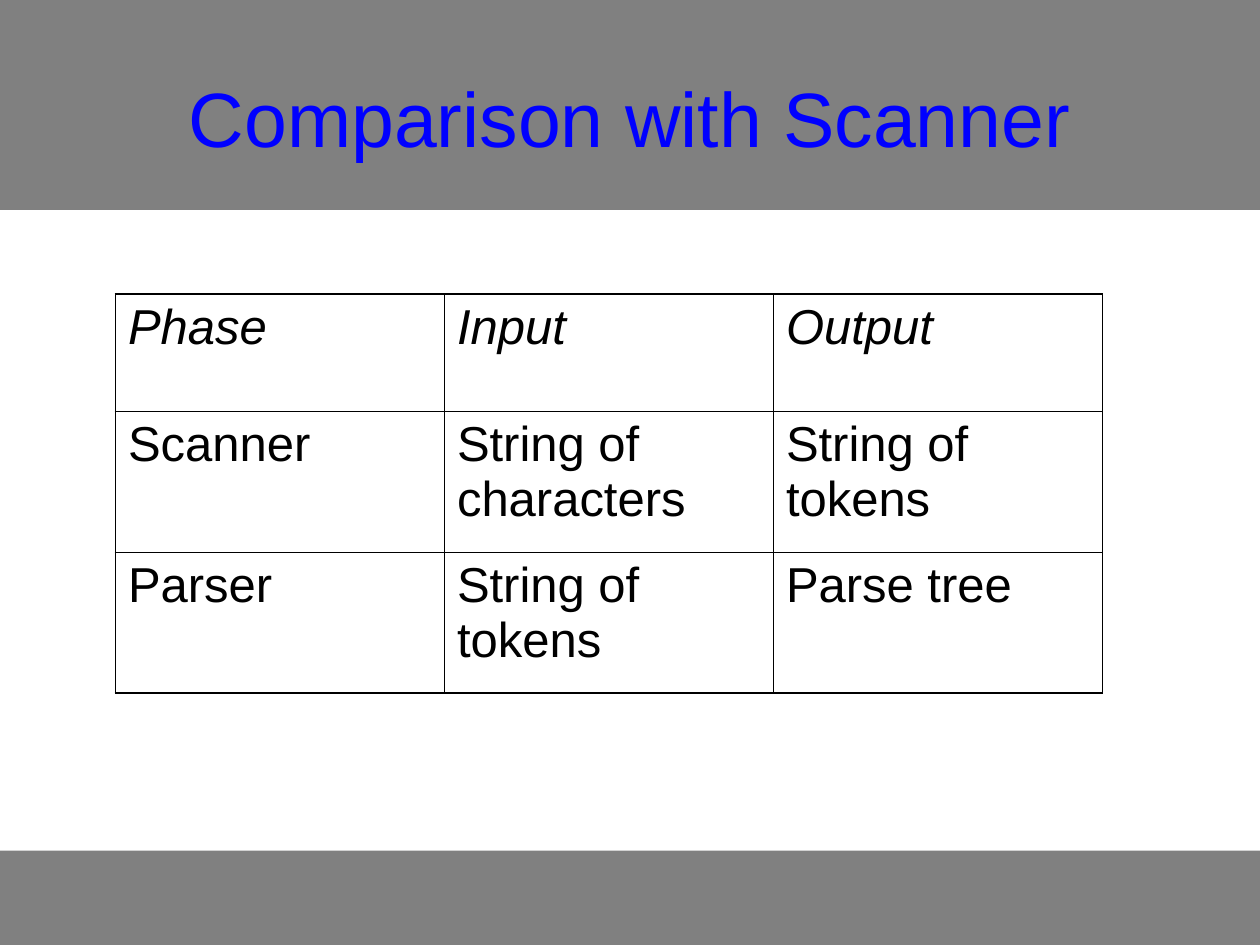
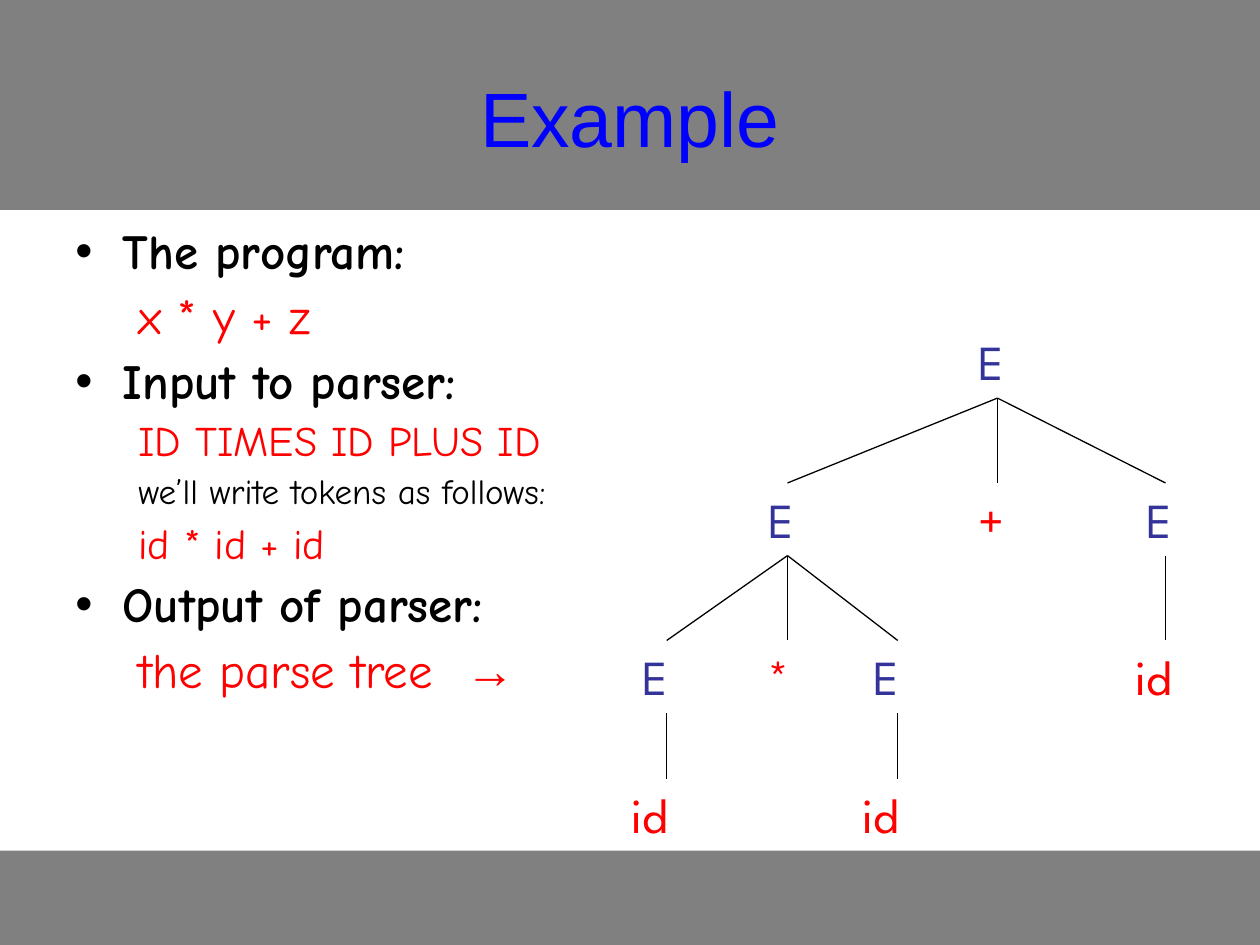
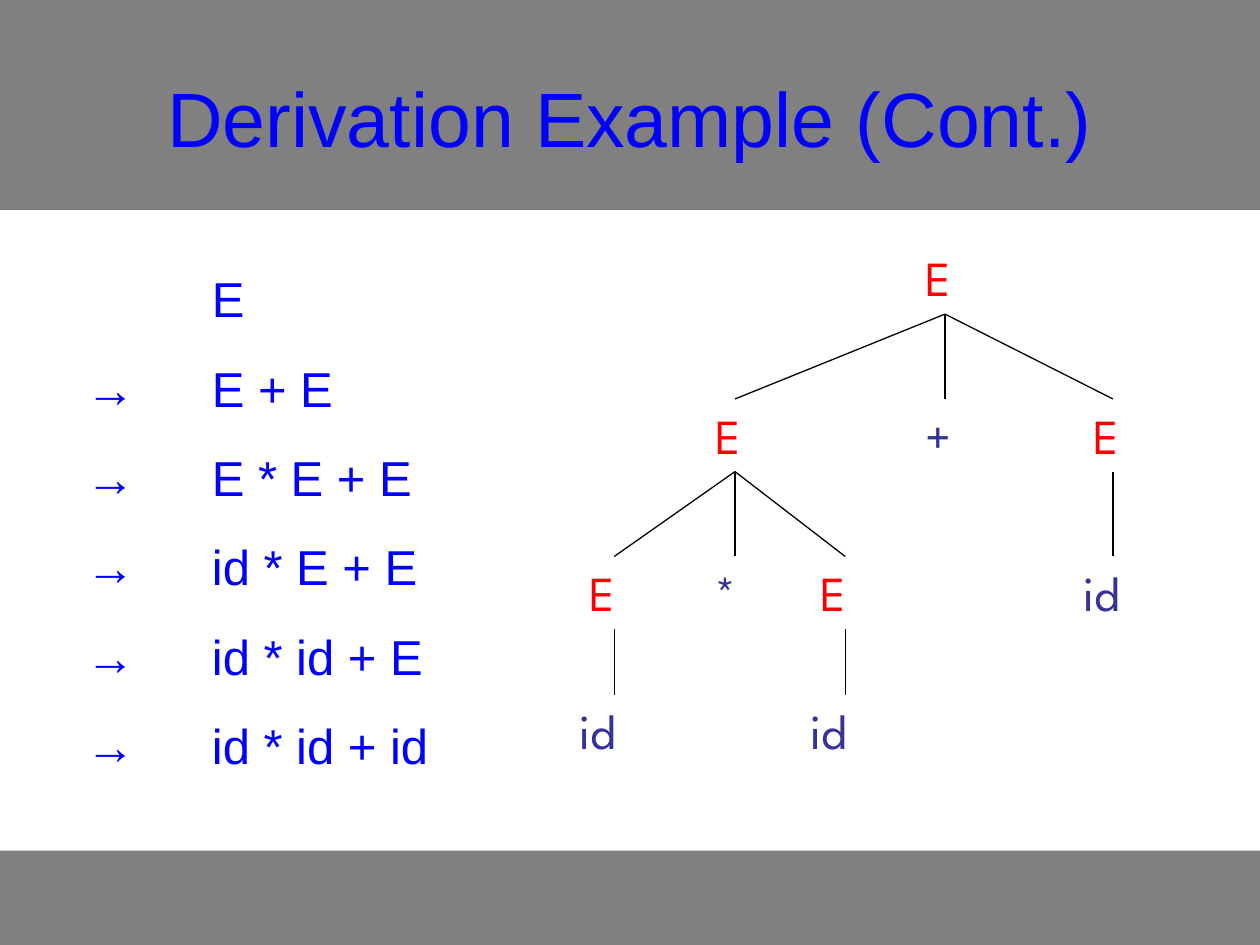
from lxml import etree
from pptx import Presentation
from pptx.dml.color import RGBColor
from pptx.enum.shapes import MSO_CONNECTOR, MSO_SHAPE
from pptx.enum.text import MSO_ANCHOR, MSO_AUTO_SIZE, PP_ALIGN
from pptx.oxml.ns import qn
from pptx.util import Pt

RECT = MSO_SHAPE.RECTANGLE
LINE = MSO_CONNECTOR.STRAIGHT
MIDDLE = MSO_ANCHOR.MIDDLE
GROW = MSO_AUTO_SIZE.SHAPE_TO_FIT_TEXT
LEFT, CENTER = PP_ALIGN.LEFT, PP_ALIGN.CENTER

BLACK, GRAY, BLUE = "000000", "808080", "0000FF"
RED, NAVY = "FF0000", "333399"
SANS, HAND, ROUND = "Arial", "Comic Neue", "League Spartan"

TOPS = [186, 276, 366, 445]
LABEL = 41.5

TREE = ("E", 570, 36, [
    ("E", 450, 36, [
        ("E", 381, 42, [("id", 381, 54, [])]),
        ("*", 450, 36, []),
        ("E", 513, 42, [("id", 513, 54, [])]),
    ]),
    ("+", 570, 36, []),
    ("E", 666, 36, [("id", 666, 48, [])]),
])

GRID = [
    ["Phase", "Input", "Output"],
    ["Scanner", "String of characters", "String of tokens"],
    ["Parser", "String of tokens", "Parse tree"],
]

POINTS = [
    ("The program:", [("x * y + z", 28, RED)]),
    ("Input to parser:", [
        ("ID TIMES ID PLUS ID", 24, RED),
        ("we’ll write tokens as follows:", 20, BLACK),
        ("id * id + id", 24, RED),
    ]),
    ("Output of parser:", [("the parse tree", 28, RED)]),
]

STEPS = ["E + E", "E * E + E", "id * E + E", "id * id + E", "id * id + id"]


def color(code):
    return RGBColor.from_string(code)


def add_run(para, text, size, code, font=SANS, bold=False, italic=False):
    run = para.add_run()
    run.text = text
    run.font.size = Pt(size)
    run.font.name = font
    run.font.bold = bold
    run.font.italic = italic
    run.font.color.rgb = color(code)
    return run


def add_para(frame, before=0, align=LEFT):
    first = frame.paragraphs[0]
    para = frame.add_paragraph() if first.runs else first
    para.space_before = Pt(before)
    para.alignment = align
    return para


def add_box(slide, left, top, width, height):
    box = slide.shapes.add_textbox(Pt(left), Pt(top), Pt(width), Pt(height))
    box.text_frame.word_wrap = True
    return box.text_frame


def add_band(slide, top, height):
    band = slide.shapes.add_shape(RECT, 0, Pt(top), Pt(720), Pt(height))
    band.shadow.inherit = False
    band.fill.solid()
    band.fill.fore_color.rgb = color(GRAY)
    band.line.fill.background()


def add_slide(deck, title):
    slide = deck.slides.add_slide(deck.slide_layouts[6])
    add_band(slide, 486, 54)
    add_band(slide, 0, 120)
    frame = add_box(slide, 36, 21.6, 648, 90)
    frame.vertical_anchor = MIDDLE
    add_run(add_para(frame, align=CENTER), title, 44, BLUE)
    return slide


def add_edge(slide, start, end):
    edge = slide.shapes.add_connector(LINE, *map(Pt, start + end))
    edge.line.width = Pt(0.75)
    edge.line.color.rgb = color(BLACK)
    etree.SubElement(edge._element.spPr, qn("a:effectLst"))


def add_tree(slide, node, stem, leaf, dx=0, dy=0, level=0):
    text, mid, width, kids = node
    mid += dx
    top = TOPS[level] + dy
    frame = add_box(slide, mid - width / 2, top, width, LABEL)
    frame.auto_size = GROW
    add_run(add_para(frame, 17.5), text, 28, stem if kids else leaf, ROUND)
    for kid in kids:
        end = (kid[1] + dx, TOPS[level + 1] + dy)
        add_edge(slide, (mid, top + LABEL), end)
        add_tree(slide, kid, stem, leaf, dx, dy, level + 1)


def add_border(cell, side, width):
    props = cell._tc.get_or_add_tcPr()
    line = etree.SubElement(props, qn("a:ln" + side), w=str(Pt(width)))
    fill = etree.SubElement(line, qn("a:solidFill"))
    etree.SubElement(fill, qn("a:srgbClr"), val=BLACK)


def add_grid(slide, rows, left, top, width, heights):
    last, end = len(rows) - 1, len(rows[0]) - 1
    shape = slide.shapes.add_table(last + 1, end + 1, Pt(left), Pt(top),
                                   Pt(width), Pt(sum(heights)))
    table = shape.table
    table.first_row = table.horz_banding = False
    for r, row in enumerate(rows):
        table.rows[r].height = Pt(heights[r])
        for c, text in enumerate(row):
            cell = table.cell(r, c)
            para = add_para(cell.text_frame, 7)
            add_run(para, text, 28, BLACK, italic=r == 0)
            outer = {"L": c == 0, "R": c == end, "T": r == 0, "B": r == last}
            for side, edge in outer.items():
                add_border(cell, side, 1.08 if edge else 0.45)
            cell.fill.background()


def add_item(frame, before, left, hang, mark=None):
    para = add_para(frame, before)
    para.line_spacing = 0.9
    props = para._p.get_or_add_pPr()
    props.set("marL", str(Pt(left)))
    props.set("indent", str(Pt(-hang)))
    if mark:
        tint = etree.SubElement(props, qn("a:buClr"))
        etree.SubElement(tint, qn("a:srgbClr"), val=BLACK)
        etree.SubElement(props, qn("a:buFont"), typeface=SANS)
        etree.SubElement(props, qn("a:buChar"), char=mark)
    return para


def add_points(slide, points):
    frame = add_box(slide, 36, 126, 654, 348)
    for head, subs in points:
        para = add_item(frame, 7, 27, 27, "•")
        add_run(para, head, 28, BLACK, HAND, bold=True)
        for text, size, code in subs:
            para = add_item(frame, size / 4, 58.5, 22.5)
            para.level = 1
            add_run(para, text, size, code, HAND)
    gap = add_run(para, " ", 28, RED, HAND)
    gap.font._element.set("spc", "950")
    add_run(para, "→", 28, RED)


def add_step(frame):
    para = add_para(frame, 17.5)
    tabs = etree.SubElement(para._p.get_or_add_pPr(), qn("a:tabLst"))
    etree.SubElement(tabs, qn("a:tab"), pos=str(Pt(72)), algn="l")
    return para


def add_steps(slide, start, steps):
    frame = add_box(slide, 42, 150, 276, 297)
    frame.auto_size = GROW
    para = add_step(frame)
    add_run(para, "\t", 20, BLUE)
    add_run(para, start, 28, BLUE)
    for step in steps:
        add_run(add_step(frame), "→ \t" + step, 28, BLUE)


def main():
    deck = Presentation()
    deck.slide_width, deck.slide_height = Pt(720), Pt(540)

    slide = add_slide(deck, "Comparison with Scanner")
    add_grid(slide, GRID, 66, 168, 564, [67, 80.5, 80.5])

    slide = add_slide(deck, "Example")
    add_tree(slide, TREE, NAVY, RED)
    add_points(slide, POINTS)

    slide = add_slide(deck, "Derivation Example (Cont.)")
    add_tree(slide, TREE, RED, NAVY, -30, -48)
    add_steps(slide, "E", STEPS)

    deck.save("out.pptx")


if __name__ == "__main__":
    main()
